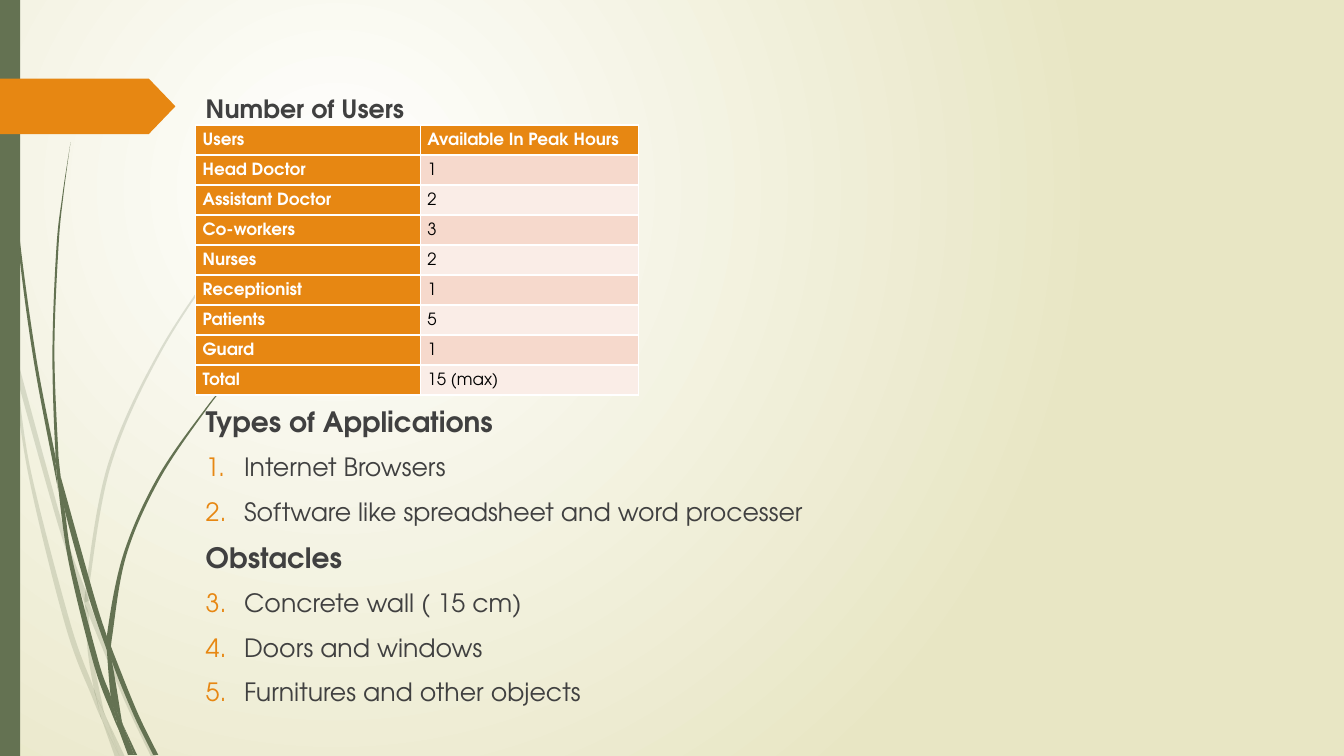
"""Build the slide on users, applications and obstacles."""
from lxml import etree
from pptx import Presentation
from pptx.dml.color import RGBColor as Rgb
from pptx.enum.shapes import MSO_SHAPE as Kind
from pptx.enum.text import MSO_ANCHOR as Anchor, MSO_AUTO_SIZE as Fit
from pptx.oxml.ns import qn
from pptx.util import Inches, Pt

HUES = {
    "white": "FFFFFF", "cream": "E8E6C4", "green": "647252", "orange": "E78712",
    "grey": "404040", "black": "000000", "rose": "F6D9CC", "blush": "FAEDE7",
}
FONT = "TeX Gyre Adventor"


def paint(shape, hue):
    shape.fill.solid()
    shape.fill.fore_color.rgb = Rgb.from_string(HUES[hue])
    shape.line.fill.background()
    shape.shadow.inherit = False


def bend(shape, turn):
    """Round the straight sides, keeping the corner after point number turn."""
    route = shape.element.find(".//" + qn("a:path"))
    dots = [(int(p.get("x")), int(p.get("y"))) for p in route.iter(qn("a:pt"))]
    for i, line in enumerate(route.findall(qn("a:lnTo"))):
        if i == turn:
            continue
        low, high = (0, turn) if i < turn else (turn + 1, len(dots) - 1)
        a, b, c, d = dots[max(i - 1, low)], dots[i], dots[i + 1], dots[min(i + 2, high)]
        arc = etree.Element(qn("a:cubicBezTo"))
        first = [q + (r - p) / 6 for p, q, r in zip(a, b, c)]
        second = [q - (r - p) / 6 for p, q, r in zip(b, c, d)]
        for x, y in (first, second, c):
            etree.SubElement(arc, qn("a:pt"), x=str(round(x)), y=str(round(y)))
        route.replace(line, arc)


deck = Presentation()
deck.slide_width, deck.slide_height = Inches(13.33), Inches(7.5)
slide = deck.slides.add_slide(deck.slide_layouts[1])
shapes = slide.shapes
title = shapes.title.element
title.getparent().remove(title)

back = slide.background.fill
back.gradient()
for stop, hue, place in zip(back.gradient_stops, ("white", "cream"), (0, 1)):
    stop.color.rgb = Rgb.from_string(HUES[hue])
    stop.position = place
grad = slide.element.find(".//" + qn("a:gradFill"))
for lin in grad.findall(qn("a:lin")):
    grad.remove(lin)
glow = etree.SubElement(grad, qn("a:path"), path="circle")
etree.SubElement(glow, qn("a:fillToRect"), l="50000", t="50000", r="100000", b="100000")

pale = [
    ([(0, 2.82), (0.09, 3.22), (0.11, 3.5)], [(0.1, 3.44), (0, 2.99)]),
    ([(0.14, 3.45), (0.62, 5.2), (0.85, 5.86)], [(0.84, 5.99), (0.58, 5.22), (0.17, 3.76)]),
    ([(0.88, 5.96), (0.92, 6.07), (1.27, 6.92), (1.55, 7.51)],
     [(1.5, 7.51), (1.23, 6.94), (0.88, 6.1)]),
    ([(1.05, 7.11), (1.24, 7.51)], [(1.19, 7.51), (1.05, 7.11)]),
    ([(0.11, 3.5), (0.17, 3.76), (0.31, 4.69), (0.7, 6.19), (0.93, 6.83), (0.99, 7.07)],
     [(1.01, 7.14), (0.92, 6.93), (0.65, 6.21), (0.28, 4.7), (0.11, 3.5)]),
    ([(0.84, 5.99), (0.87, 6.46), (0.93, 6.83), (0.96, 6.92), (1.05, 7.11)],
     [(1.03, 7.06), (0.91, 6.46), (0.88, 6.1), (0.84, 5.99)]),
    ([(3.12, 1.53), (2.89, 1.75), (2.68, 1.97), (2.28, 2.44), (1.58, 3.48),
      (1.07, 4.61), (0.85, 5.84), (0.88, 5.96)],
     [(0.88, 5.84), (1.1, 4.62), (1.6, 3.49), (2.29, 2.45), (2.68, 1.98),
      (2.9, 1.75), (3.12, 1.54)]),
    ([(1.01, 7.14), (1.14, 7.51)], [(1.19, 7.51), (1.01, 7.14)]),
    ([(0.85, 5.86), (0.84, 5.99), (0.88, 6.1)], [(0.88, 5.96), (0.85, 5.86)]),
    ([(0.93, 6.83), (0.99, 7.07), (1.01, 7.14), (1.19, 7.51)],
     [(1.19, 7.51), (1.05, 7.11), (0.96, 6.92)]),
]
dark = [
    ([(0.03, 0), (0.04, 0.48), (0.07, 1.1), (0.17, 2.33), (0.33, 3.55), (0.56, 4.77),
      (0.57, 4.81)],
     [(0.55, 4.57), (0.55, 4.53), (0.36, 3.55), (0.19, 2.32), (0.08, 1.09),
      (0.05, 0.48), (0.04, 0)]),
    ([(0.6, 4.72), (0.64, 5.05), (0.88, 5.92), (1.06, 6.45)],
     [(1.06, 6.31), (0.93, 5.9), (0.6, 4.72)]),
    ([(1.1, 6.41), (1.11, 6.56), (1.32, 7.08), (1.52, 7.49)],
     [(1.57, 7.49), (1.36, 7.06), (1.13, 6.49)]),
    ([(0.57, 4.77), (0.68, 5.57), (0.93, 6.59), (1.11, 7.08), (1.17, 7.22)],
     [(1.16, 7.17), (1.1, 6.91), (0.98, 6.57), (0.72, 5.56), (0.64, 5.05), (0.57, 4.77)]),
    ([(0.7, 1.41), (0.62, 1.93), (0.56, 2.45), (0.52, 3.49), (0.55, 4.49), (0.6, 4.72)],
     [(0.58, 4.53), (0.54, 3.49), (0.58, 2.45), (0.63, 1.93), (0.7, 1.41)]),
    ([(1.22, 7.19), (1.33, 7.49)], [(1.36, 7.49), (1.22, 7.19)]),
    ([(0.55, 4.49), (0.57, 4.77), (0.64, 5.05)], [(0.6, 4.72), (0.55, 4.49)]),
    ([(2.6, 3.44), (2.45, 3.58), (2.31, 3.73), (2.04, 4.05), (1.56, 4.74),
      (1.22, 5.51), (1.06, 6.31), (1.1, 6.41)],
     [(1.11, 6.33), (1.25, 5.52), (1.58, 4.76), (2.05, 4.06), (2.31, 3.74),
      (2.45, 3.59), (2.61, 3.44)]),
    ([(1.17, 7.22), (1.27, 7.49)], [(1.31, 7.49), (1.17, 7.22)]),
    ([(1.06, 6.45), (1.1, 6.91), (1.16, 7.06), (1.22, 7.19)],
     [(1.21, 7.16), (1.11, 6.56), (1.06, 6.45)]),
    ([(1.06, 6.31), (1.06, 6.45), (1.11, 6.56)], [(1.1, 6.41), (1.06, 6.31)]),
    ([(1.1, 6.91), (1.16, 7.17), (1.17, 7.22), (1.3, 7.49)],
     [(1.33, 7.49), (1.22, 7.19), (1.16, 7.06)]),
]
for n, (down, up) in enumerate(pale + dark):
    dots = [(x * 1000, y * 1000) for x, y in down + up]
    form = shapes.build_freeform(*dots[0], scale=Inches(1) / 1000)
    form.add_line_segments(dots[1:], close=True)
    blade = form.convert_to_shape()
    bend(blade, len(down) - 1)
    paint(blade, "green")
    if n < len(pale):
        tint = blade.element.spPr.find(".//" + qn("a:srgbClr"))
        etree.SubElement(tint, qn("a:alpha"), val="20000")

bar = shapes.add_shape(Kind.RECTANGLE, 0, 0, Inches(0.2), Inches(7.5))
paint(bar, "green")
arrow = shapes.add_shape(Kind.PENTAGON, 0, Inches(0.78), Inches(1.74), Inches(0.55))
arrow.adjustments[0] = 0.48
paint(arrow, "orange")

body = slide.placeholders[1]
body.left, body.top = Inches(1.94), Inches(0.88)
body.width, body.height = Inches(10.64), Inches(6.62)
body.element.getparent().append(body.element)
frame = body.text_frame
frame.word_wrap = True
frame.auto_size = Fit.NONE
frame.vertical_anchor = Anchor.TOP
lines = [
    ("Number of Users", 18, True, 10),
    ("Types of Applications", 20, True, 200),
    ("Internet Browsers", 18, False, 10),
    ("Software like spreadsheet and word processer", 18, False, 10),
    ("Obstacles", 20, True, 10),
    ("Concrete wall ( 15 cm)", 18, False, 10),
    ("Doors and windows", 18, False, 10),
    ("Furnitures and other objects", 18, False, 10),
]
for n, (text, size, head, gap) in enumerate(lines):
    para = frame.add_paragraph() if n else frame.paragraphs[0]
    para.text = text
    para.space_before = Pt(gap)
    font = para.font
    font.name, font.size, font.bold = FONT, Pt(size), head
    font.color.rgb = Rgb.from_string(HUES["grey"])
    props = para._p.get_or_add_pPr()
    inset = 0 if head else Inches(0.38)
    props.set("marL", str(inset))
    props.set("indent", str(-inset))
    marks = [etree.Element(qn("a:buNone"))]
    if not head:
        ink = etree.Element(qn("a:buClr"))
        etree.SubElement(ink, qn("a:srgbClr"), val=HUES["orange"])
        face = etree.Element(qn("a:buFont"), typeface="+mj-lt")
        marks = [ink, face, etree.Element(qn("a:buAutoNum"), type="arabicPeriod")]
    spot = props.index(props.find(qn("a:defRPr")))
    props[spot:spot] = marks

users = [
    ("Users", "Available In Peak Hours"), ("Head Doctor", "1"),
    ("Assistant Doctor", "2"), ("Co-workers", "3"), ("Nurses", "2"),
    ("Receptionist", "1"), ("Patients", "5"), ("Guard", "1"), ("Total", "15 (max)"),
]
grid = shapes.add_table(len(users), 2, Inches(1.94), Inches(1.24),
                        Inches(4.39), Inches(2.68)).table
grid.first_col = True
for col, wide in zip(grid.columns, (2.23, 2.16)):
    col.width = Inches(wide)
for r, row in enumerate(users):
    grid.rows[r].height = Inches(2.68 / len(users))
    for c, text in enumerate(row):
        cell = grid.cell(r, c)
        strong = r == 0 or c == 0
        cell.margin_left = cell.margin_right = Inches(0.07)
        cell.margin_top = cell.margin_bottom = 0
        cell.fill.solid()
        hue = "orange" if strong else "rose" if r % 2 else "blush"
        cell.fill.fore_color.rgb = Rgb.from_string(HUES[hue])
        cell.text = text
        para = cell.text_frame.paragraphs[0]
        para.line_spacing = 1.5
        font = para.font
        font.name, font.size, font.bold = FONT, Pt(12), strong
        font.color.rgb = Rgb.from_string(HUES["white" if strong else "black"])

deck.save("out.pptx")
